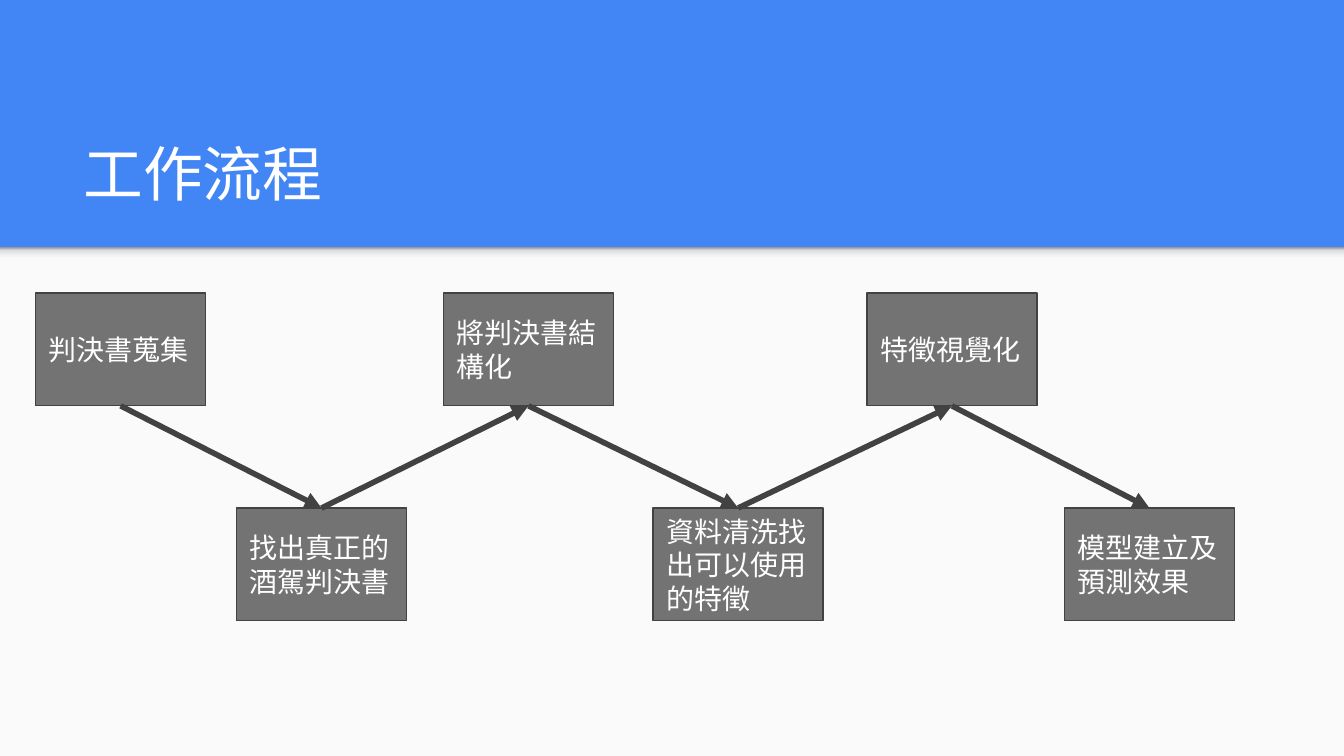
from dataclasses import dataclass
from itertools import pairwise

from lxml.etree import SubElement
from pptx import Presentation
from pptx.dml.color import RGBColor as RGB
from pptx.enum.shapes import MSO_CONNECTOR as CONN, MSO_SHAPE as SHAPE
from pptx.enum.text import MSO_ANCHOR as ANCHOR, MSO_AUTO_SIZE as FIT, PP_ALIGN as ALIGN
from pptx.oxml.ns import qn
from pptx.util import Inches, Pt


@dataclass(frozen=True)
class Theme:
    header: str = "4285F4"
    paper: str = "FAFAFA"
    box: str = "737373"
    edge: str = "424242"
    text: str = "FFFFFF"
    shade: tuple = ((0, "F9F9F9"), (36, "F9F9F9"), (80, "DEDEDE"), (100, "999999"))
    title_font: str = "Roboto"
    body_font: str = "Arial"
    title_size: int = 32
    body_size: int = 15
    box_line: float = 0.75
    arrow_line: float = 3


def write(tf, text, *, font, size, color, anchor):
    tf.word_wrap = True
    tf.auto_size = FIT.NONE
    tf.vertical_anchor = anchor
    tf.margin_left = tf.margin_right = tf.margin_top = tf.margin_bottom = Inches(0.1)
    p = tf.paragraphs[0]
    p.alignment = ALIGN.LEFT
    r = p.add_run()
    r.text = text
    r.font.size = Pt(size)
    r.font.color.rgb = RGB.from_string(color)
    r.font.name = font
    SubElement(r._r.get_or_add_rPr(), qn("a:ea"), typeface=font)


class Deck:
    CELL = 0.1

    def __init__(self, theme, cols, rows):
        self.theme = theme
        self.prs = Presentation()
        self.prs.slide_width, self.prs.slide_height = self.grid(cols, rows)
        self.s = self.prs.slides.add_slide(self.prs.slide_layouts[5])
        fill = self.s.background.fill
        fill.solid()
        fill.fore_color.rgb = RGB.from_string(theme.header)

    def grid(self, *cells):
        return [Inches(c * self.CELL) for c in cells]

    def rect(self, *cells):
        sp = self.s.shapes.add_shape(SHAPE.RECTANGLE, *self.grid(*cells))
        sp.shadow.inherit = False
        sp.line.fill.background()
        return sp

    def panel(self, *cells):
        sp = self.rect(*cells)
        sp.fill.solid()
        sp.fill.fore_color.rgb = RGB.from_string(self.theme.paper)

    def shade(self, *cells):
        sp = self.rect(*cells)
        sp.fill.gradient()
        sp.fill.gradient_angle = 90
        stops = sp._element.spPr.find(".//" + qn("a:gsLst"))
        for stop in list(stops):
            stops.remove(stop)
        for share, color in self.theme.shade:
            stop = SubElement(stops, qn("a:gs"), pos=str(share * 1000))
            SubElement(stop, qn("a:srgbClr"), val=color)

    def title(self, text, *cells):
        t, sp = self.theme, self.s.shapes.title
        sp.left, sp.top, sp.width, sp.height = self.grid(*cells)
        write(sp.text_frame, text, font=t.title_font, size=t.title_size,
              color=t.text, anchor=ANCHOR.BOTTOM)

    def box(self, text, *cells):
        t, sp = self.theme, self.rect(*cells)
        sp.fill.solid()
        sp.fill.fore_color.rgb = RGB.from_string(t.box)
        sp.line.color.rgb = RGB.from_string(t.edge)
        sp.line.width = Pt(t.box_line)
        write(sp.text_frame, text, font=t.body_font, size=t.body_size,
              color=t.text, anchor=ANCHOR.MIDDLE)
        return sp

    def arrow(self, start, end):
        top, bottom = 0, 2
        sites = (bottom, top) if start.top < end.top else (top, bottom)
        c = self.s.shapes.add_connector(CONN.STRAIGHT, 0, 0, 0, 0)
        c.begin_connect(start, sites[0])
        c.end_connect(end, sites[1])
        c.line.color.rgb = RGB.from_string(self.theme.edge)
        c.line.width = Pt(self.theme.arrow_line)
        SubElement(c.line._get_or_add_ln(), qn("a:tailEnd"), type="triangle")
        SubElement(c._element.spPr, qn("a:effectLst"))


STEPS = [
    ("判決書蒐集", 2.65),
    ("找出真正的酒駕判決書", 17.6),
    ("將判決書結構化", 33),
    ("資料清洗找出可以使用的特徵", 48.6),
    ("特徵視覺化", 64.5),
    ("模型建立及預測效果", 79.2),
]
COLS, ROWS, HEADER = 100, 56.25, 18.4
BOX_SIZE = (12.65, 8.4)
LEVELS = (21.8, 37.8)


def main():
    deck = Deck(Theme(), COLS, ROWS)
    deck.panel(0, HEADER, COLS, ROWS - HEADER)
    deck.shade(0, HEADER, COLS, 1.2)
    deck.title("工作流程", 5.2, 8.1, 89.9, 8.4)
    boxes = [deck.box(text, col, LEVELS[i % 2], *BOX_SIZE)
             for i, (text, col) in enumerate(STEPS)]
    for start, end in pairwise(boxes):
        deck.arrow(start, end)
    deck.prs.save("out.pptx")


if __name__ == "__main__":
    main()
